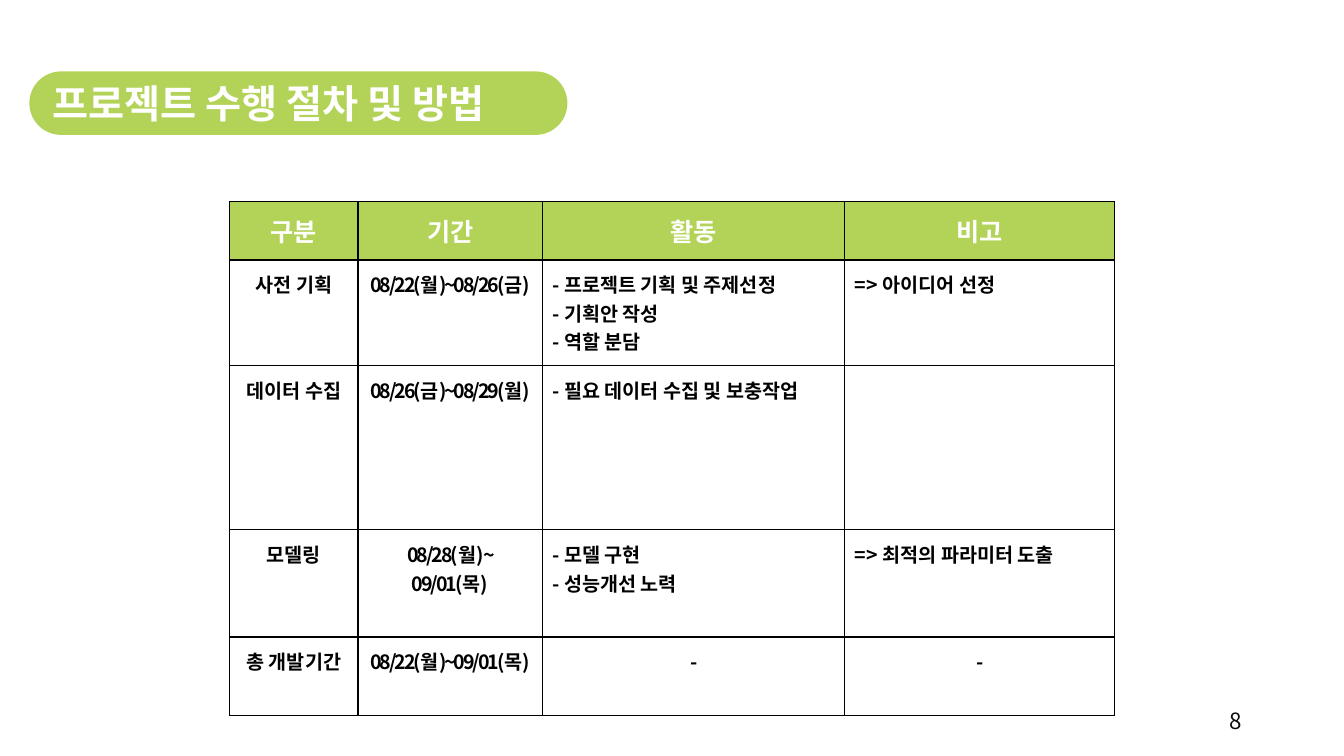
from dataclasses import dataclass

from lxml.etree import SubElement
from pptx import Presentation
from pptx.dml.color import RGBColor
from pptx.enum.shapes import MSO_SHAPE
from pptx.enum.text import MSO_ANCHOR, MSO_AUTO_SIZE, PP_ALIGN
from pptx.oxml.ns import qn
from pptx.util import Cm, Pt


@dataclass(frozen=True)
class Theme:
    """Colours, fonts and type sizes of the slide."""
    green: RGBColor = RGBColor(0xB3, 0xD3, 0x58)
    white: RGBColor = RGBColor(0xFF, 0xFF, 0xFF)
    black: RGBColor = RGBColor(0, 0, 0)
    ink: RGBColor = RGBColor(0x0D, 0x0D, 0x0D)
    latin: str = "Arial"
    korean: str = "Noto Sans CJK KR"
    title: int = 28
    head: int = 18
    body: int = 14
    page: int = 16


THEME = Theme()
COLS = (3.23, 4.65, 7.62, 6.8)
ROWS = (1.47, 2.67, 4.13, 2.7, 1.97)
PLAN = (
    ("구분", "기간", "활동", "비고"),
    ("사전 기획", "08/22(월)~08/26(금)",
     "- 프로젝트 기획 및 주제선정\n- 기획안 작성\n- 역할 분담", "=> 아이디어 선정"),
    ("데이터 수집", "08/26(금)~08/29(월)", "- 필요 데이터 수집 및 보충작업", ""),
    ("모델링", "08/28(월) ~ 09/01(목)",
     "- 모델 구현\n- 성능개선 노력", "=> 최적의 파라미터 도출"),
    ("총 개발기간", "08/22(월)~09/01(목)", "-", "-"),
)


def style(para, face, size, color, bold=True, align=PP_ALIGN.LEFT, track=0):
    """Format one paragraph, with its Latin and Korean fonts alike."""
    para.alignment = align
    font = para.font
    font.name, font.size, font.bold = face, Pt(size), bold
    font.color.rgb = color
    props = para._p.pPr.find(qn("a:defRPr"))
    if track:
        props.set("spc", str(track))
    SubElement(props, qn("a:ea")).set("typeface", THEME.korean)


def border(cell):
    """Draw a thin black line on each side of a cell."""
    props = cell._tc.get_or_add_tcPr()
    for side in ("lnL", "lnR", "lnT", "lnB"):
        line = SubElement(props, qn(f"a:{side}"), w=str(Pt(1)))
        fill = SubElement(line, qn("a:solidFill"))
        SubElement(fill, qn("a:srgbClr"), val=str(THEME.black))


def fill_cell(cell, text, head, center, track):
    """Write and format one cell of the plan."""
    border(cell)
    cell.fill.solid()
    cell.fill.fore_color.rgb = THEME.green if head else THEME.white
    cell.vertical_anchor = MSO_ANCHOR.MIDDLE if head else MSO_ANCHOR.TOP
    cell.margin_left = cell.margin_right = Cm(0.25)
    cell.margin_top = cell.margin_bottom = Cm(0.25)
    cell.text = text
    size, color = (THEME.head, THEME.white) if head else (THEME.body, THEME.black)
    align = PP_ALIGN.CENTER if center else PP_ALIGN.LEFT
    for para in cell.text_frame.paragraphs:
        style(para, THEME.korean, size, color, align=align, track=track)


def add_plan(slide, left, top):
    """Place the project plan table with its corner at the given point."""
    frame = slide.shapes.add_table(len(ROWS), len(COLS), Cm(left), Cm(top),
                                   Cm(sum(COLS)), Cm(sum(ROWS)))
    table = frame.table
    for col, width in zip(table.columns, COLS):
        col.width = Cm(width)
    for row, height in zip(table.rows, ROWS):
        row.height = Cm(height)
    for i, line in enumerate(PLAN):
        for j, text in enumerate(line):
            head = i == 0
            center = head or j < 2 or text == "-"
            track = -150 if j == 1 and not head else 0
            fill_cell(table.cell(i, j), text, head, center, track)


def add_title(slide, left, top, width, height):
    """Place the green pill and set the title on it."""
    pill = slide.shapes.add_shape(MSO_SHAPE.ROUNDED_RECTANGLE, Cm(left), Cm(top),
                                  Cm(width), Cm(height))
    pill.adjustments[0] = 0.5
    pill.shadow.inherit = False
    pill.fill.solid()
    pill.fill.fore_color.rgb = THEME.green
    pill.line.fill.background()
    title = slide.shapes.title
    title.left, title.top = Cm(left + 0.34), Cm(top)
    title.width, title.height = Cm(width - 0.68), Cm(height)
    pill._element.addnext(title._element)
    frame = title.text_frame
    frame.text = "프로젝트 수행 절차 및 방법"
    frame.auto_size = MSO_AUTO_SIZE.NONE
    frame.word_wrap = False
    frame.vertical_anchor = MSO_ANCHOR.MIDDLE
    style(frame.paragraphs[0], THEME.latin, THEME.title, THEME.white)


def add_page(slide, left, top, width, height):
    """Place the page number at the right of its box."""
    box = slide.shapes.add_textbox(Cm(left), Cm(top), Cm(width), Cm(height))
    frame = box.text_frame
    frame.word_wrap = True
    frame.vertical_anchor = MSO_ANCHOR.MIDDLE
    frame.text = "8"
    style(frame.paragraphs[0], THEME.korean, THEME.page, THEME.ink,
          bold=False, align=PP_ALIGN.RIGHT)


def main():
    """Build the slide and save it."""
    deck = Presentation()
    deck.slide_width, deck.slide_height = Cm(33.87), Cm(19.05)
    slide = deck.slides.add_slide(deck.slide_layouts[5])
    add_plan(slide, 5.79, 5.08)
    add_title(slide, 0.74, 1.8, 13.56, 1.6)
    add_page(slide, 23.93, 17.65, 7.62, 1.02)
    deck.save("out.pptx")


if __name__ == "__main__":
    main()
